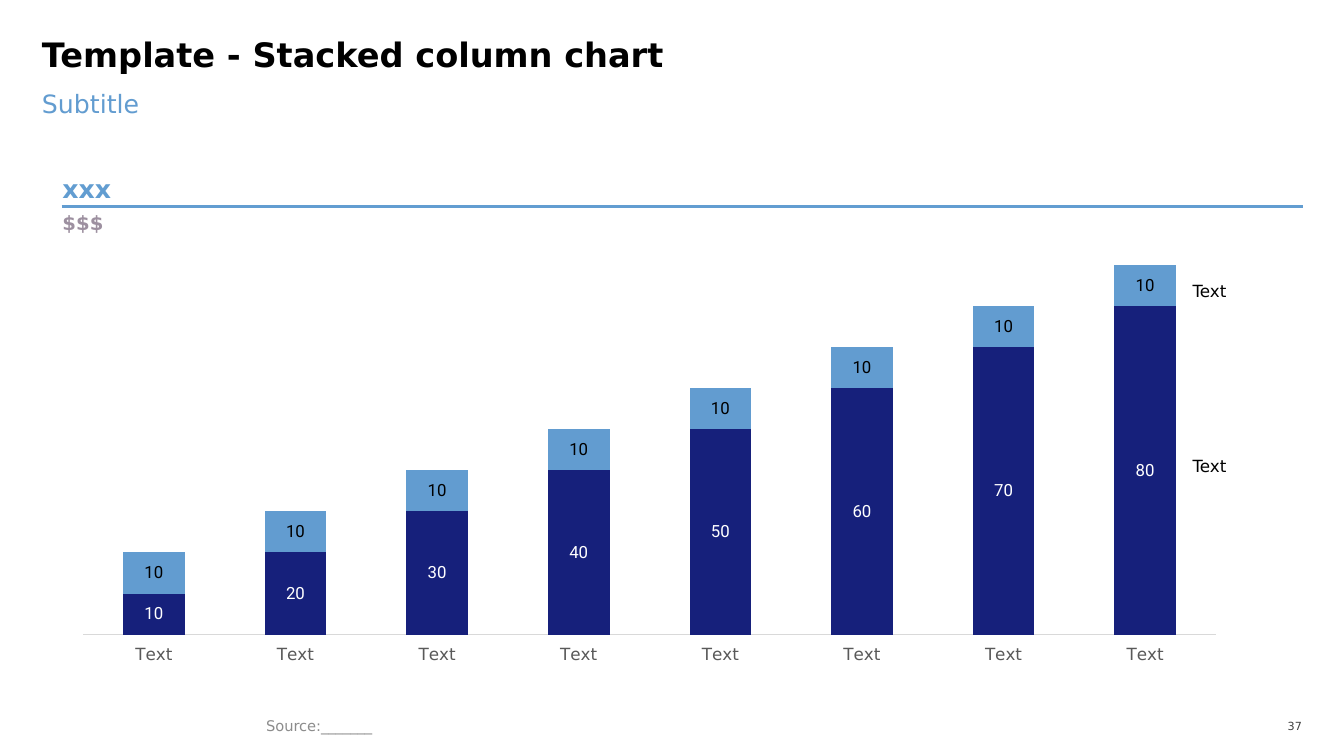
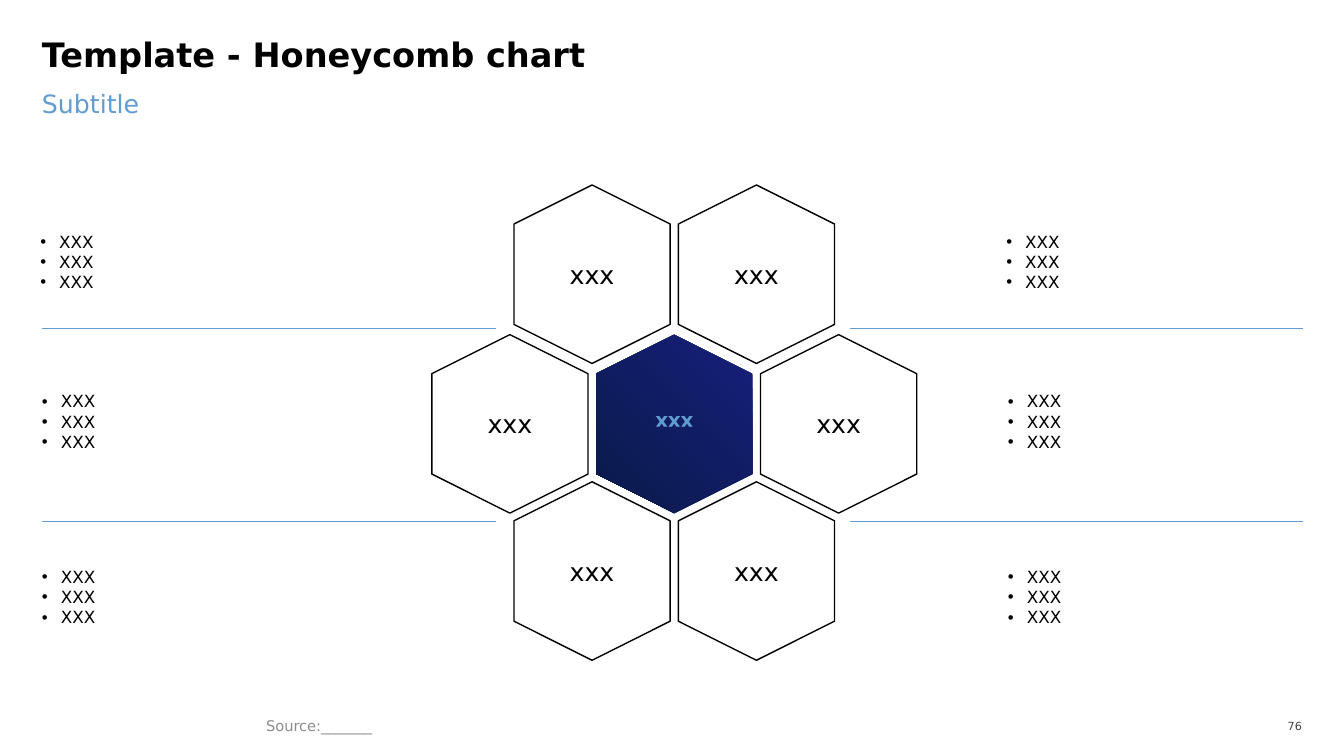
from pptx import Presentation
from pptx.chart.data import CategoryChartData
from pptx.dml.color import RGBColor
from pptx.enum.chart import XL_CHART_TYPE, XL_LABEL_POSITION, XL_TICK_LABEL_POSITION, XL_TICK_MARK
from pptx.enum.shapes import MSO_CONNECTOR, MSO_SHAPE
from pptx.enum.text import MSO_ANCHOR, PP_ALIGN
from pptx.oxml import parse_xml
from pptx.oxml.ns import nsdecls, qn
from pptx.util import Pt
from lxml import etree

COLORS = {name: RGBColor.from_string(value) for name, value in {
    "black": "000000", "white": "FFFFFF", "navy": "16207B", "night": "0A1A49",
    "sky": "629CD0", "accent": "629DD1", "mauve": "9D90A0", "source": "8C8C8C",
    "number": "404040", "axis_text": "595959", "axis_line": "D9D9D9"}.items()}
FONT = "DejaVu Sans"
INDENT = Pt(13.5)


def write(sp, lines, size, color, bold=False, align=PP_ALIGN.LEFT,
          anchor=MSO_ANCHOR.TOP, insets=(0, 0), bullets=False, spacing=None):
    tf = sp.text_frame
    side, top = (Pt(v) for v in insets)
    frame_format = {"word_wrap": True, "vertical_anchor": anchor, "margin_left": side,
                    "margin_right": side, "margin_top": top, "margin_bottom": top}
    for name, value in frame_format.items():
        setattr(tf, name, value)
    tf.text = "\n".join(lines)
    for p in tf.paragraphs:
        p.alignment = align
        if spacing:
            p.line_spacing = spacing
        if bullets:
            pPr = p._p.get_or_add_pPr()
            pPr.set("marL", str(INDENT))
            pPr.set("indent", str(-INDENT))
            etree.SubElement(pPr, qn("a:buFont")).set("typeface", "Arial")
            etree.SubElement(pPr, qn("a:buChar")).set("char", "•")
        font = p.runs[0].font
        for name, value in {"name": FONT, "size": Pt(size), "bold": bold}.items():
            setattr(font, name, value)
        font.color.rgb = COLORS[color]


def add_rule(s, x1, x2, y, width):
    line = s.shapes.add_connector(MSO_CONNECTOR.STRAIGHT, Pt(x1), Pt(y), Pt(x2), Pt(y))
    line.line.color.rgb = COLORS["accent"]
    line.line.width = Pt(width)
    line.element.spPr.append(parse_xml(f"<a:effectLst {nsdecls('a')}/>"))


prs = Presentation()
prs.slide_width, prs.slide_height = Pt(960), Pt(540)

# Title, subtitle, source and page number of every slide
slides = []
for title, number in (("Template - Stacked column chart", "37"),
                      ("Template - Honeycomb chart", "76")):
    s = prs.slides.add_slide(prs.slide_layouts[6])
    slides.append(s)
    for box, text, fmt in (
        ((30, 30, 899, 38), title,
         {"size": 24, "color": "black", "bold": True, "spacing": 0.8}),
        ((30, 63.4, 899, 45), "Subtitle", {"size": 18, "color": "sky"}),
        ((183, 509, 460, 19), "Source:_______",
         {"size": 10.5, "color": "source", "anchor": MSO_ANCHOR.MIDDLE, "insets": (7.2, 3.6)}),
        ((900, 510.5, 30, 16.5), number,
         {"size": 8, "color": "number", "align": PP_ALIGN.RIGHT, "anchor": MSO_ANCHOR.MIDDLE}),
    ):
        write(s.shapes.add_textbox(*map(Pt, box)), [text], **fmt)
chart_slide, honeycomb_slide = slides

# Chart heading, unit and series names
add_rule(chart_slide, 44, 931, 147.6, 2.25)
for box, text, fmt in (
    ((44.6, 121, 211, 24.5), "xxx",
     {"size": 18, "color": "accent", "bold": True, "anchor": MSO_ANCHOR.BOTTOM}),
    ((44.6, 150.5, 95, 24.5), "$$$", {"size": 14, "color": "mauve", "bold": True}),
    ((851.8, 200.9, 106, 14.4), "Text",
     {"size": 12, "color": "black", "anchor": MSO_ANCHOR.MIDDLE}),
    ((851.8, 325.5, 106, 14.4), "Text",
     {"size": 12, "color": "black", "anchor": MSO_ANCHOR.MIDDLE}),
):
    write(chart_slide.shapes.add_textbox(*map(Pt, box)), [text], **fmt)

# Stacked column chart
data = CategoryChartData()
data.categories = ["Text"] * 8
data.add_series("Series 1", range(10, 90, 10))
data.add_series("Series 2", [10] * 8)
chart = chart_slide.shapes.add_chart(XL_CHART_TYPE.COLUMN_STACKED, Pt(42.5), Pt(153.4),
                                     Pt(843), Pt(324), data).chart
chart.has_legend = chart.has_title = False
chart.font.name, chart.font.size = "Roboto", Pt(12)
chart.font.color.rgb = COLORS["black"]

plot = chart.plots[0]
plot.gap_width, plot.overlap, plot.vary_by_categories = 130, 100, False
for series, fill, label in zip(plot.series, ("navy", "sky"), ("white", "black")):
    series.format.fill.solid()
    series.format.fill.fore_color.rgb = COLORS[fill]
    labels = series.data_labels
    labels.show_value = True
    labels.position = XL_LABEL_POSITION.CENTER
    labels.font.name, labels.font.size = "Roboto", Pt(12)
    labels.font.color.rgb = COLORS[label]

axis = chart.value_axis
axis.visible = axis.has_major_gridlines = False
axis.minimum_scale, axis.maximum_scale = 0, 100
axis = chart.category_axis
axis.major_tick_mark = axis.minor_tick_mark = XL_TICK_MARK.NONE
axis.tick_label_position = XL_TICK_LABEL_POSITION.LOW
axis.format.line.color.rgb = COLORS["axis_line"]
axis.format.line.width = Pt(0.75)
font = axis.tick_labels.font
font.name, font.size = FONT, Pt(12)
font.color.rgb = COLORS["axis_text"]

# Fixed plot area as fractions of the chart
plot_area = chart.element.chart.plotArea
for old in plot_area.findall(qn("c:layout")):
    plot_area.remove(old)
layout = etree.Element(qn("c:layout"))
manual = etree.SubElement(layout, qn("c:manualLayout"))
for tag, value in (("layoutTarget", "inner"), ("xMode", "edge"), ("yMode", "edge"),
                   ("x", "0.02"), ("y", "0.02"), ("w", "0.96"), ("h", "0.906")):
    etree.SubElement(manual, qn(f"c:{tag}")).set("val", value)
plot_area.insert(0, layout)

# Honeycomb: rows of 2, 3 and 2 cells around the centre
CELL_W, CELL_H, PITCH, CENTER_X = 127.5, 111.6, 117.4, 481.6
for row, (count, y) in enumerate(((2, 195.9), (3, 302.8), (2, 407.9))):
    for col in range(count):
        x = CENTER_X + (col - (count - 1) / 2) * PITCH
        sp = honeycomb_slide.shapes.add_shape(
            MSO_SHAPE.HEXAGON, Pt(x - CELL_W / 2), Pt(y - CELL_H / 2), Pt(CELL_W), Pt(CELL_H))
        sp.rotation = 90
        sp.shadow.inherit = False
        if (row, col) == (1, 1):
            sp.fill.gradient()
            sp.fill.gradient_angle = 315
            for stop, color, position in zip(sp.fill.gradient_stops,
                                             ("navy", "night"), (0, 0.99)):
                stop.color.rgb, stop.position = COLORS[color], position
            sp.line.fill.background()
            fmt = {"size": 14, "color": "accent", "bold": True, "insets": (0, 2.9)}
            direction = "vert"
        else:
            sp.fill.background()
            sp.line.color.rgb = COLORS["black"]
            sp.line.width = Pt(1)
            fmt = {"size": 18, "color": "black", "insets": (7.2, 7.2)}
            direction = "vert270"
        write(sp, ["xxx"], align=PP_ALIGN.CENTER, anchor=MSO_ANCHOR.MIDDLE, **fmt)
        sp.element.txBody.bodyPr.set("vert", direction)

# Rules and bullet lists on both sides
for rule_x, list_x in ((30, 30), (607, 720)):
    for y in (234.7, 372.2):
        add_rule(honeycomb_slide, rule_x, rule_x + 324, y, 0.25)
    for shift, y in ((-1.2, 165.6), (0, 279.4), (0, 404.9)):
        sp = honeycomb_slide.shapes.add_textbox(Pt(list_x + shift), Pt(y), Pt(211), Pt(58))
        write(sp, ["XXX"] * 3, 12, "black", bullets=True)

prs.save("out.pptx")
